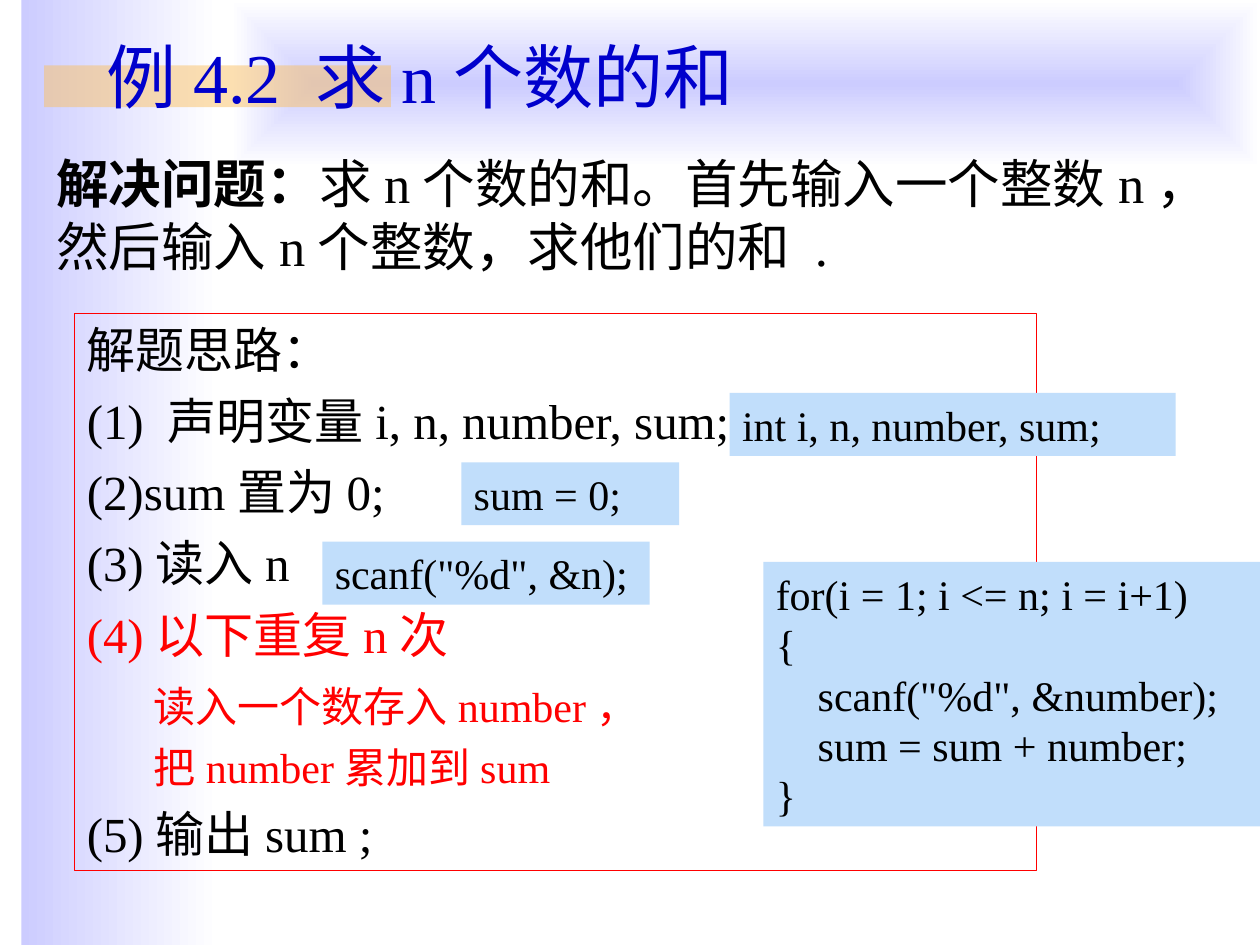
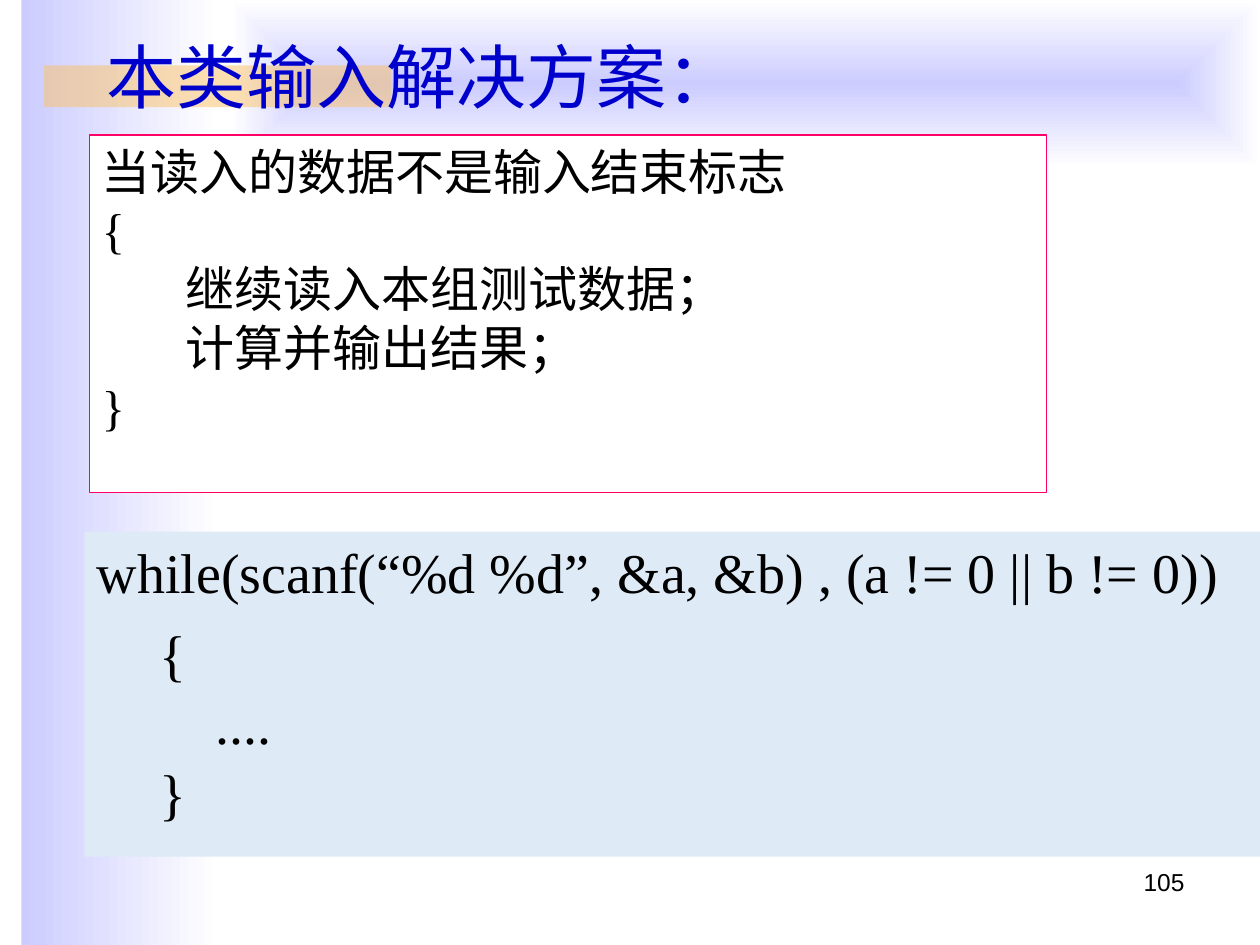
from pptx import Presentation
from pptx.dml.color import RGBColor
from pptx.enum.shapes import MSO_SHAPE
from pptx.enum.text import MSO_ANCHOR, PP_ALIGN
from pptx.oxml import parse_xml
from pptx.oxml.ns import nsdecls, qn
from pptx.util import Cm, Pt

RECT = MSO_SHAPE.RECTANGLE
TOP, MIDDLE = MSO_ANCHOR.TOP, MSO_ANCHOR.MIDDLE
LEFT, RIGHT = PP_ALIGN.LEFT, PP_ALIGN.RIGHT


class Theme:
    serif, sans = "Times New Roman", "Arial"
    black, white = "000000", "FFFFFF"
    title, lilac, amber = "0000CC", "CCCCFF", "FAC164"
    red, pink = "FF0000", "FF0066"
    chip, panel = "C1DEFB", "DEEAF6"
    title_size, code_size, intro_size = 40, 32, 30
    body_size, small_size, page_size = 28, 24, 14


def add_rect(slide, at, fill=None, line=None):
    s = slide.shapes.add_shape(RECT, *map(Cm, at))
    s.shadow.inherit = False
    if fill:
        s.fill.solid()
        s.fill.fore_color.rgb = RGBColor.from_string(fill)
    else:
        s.fill.background()
    if line:
        s.line.color.rgb = RGBColor.from_string(line)
        s.line.width = Pt(0.75)
    else:
        s.line.fill.background()
    return s


def write(s, paragraphs, size, color=Theme.black, font=Theme.serif,
          anchor=TOP, align=LEFT):
    """Each paragraph is a text or a dict: runs [(text, bold)], size, color, before, indent."""
    tf = s.text_frame
    tf.word_wrap = True
    tf.vertical_anchor = anchor
    for i, item in enumerate(paragraphs):
        if isinstance(item, str):
            item = {"runs": [(item, False)]}
        p = tf.paragraphs[0] if i == 0 else tf.add_paragraph()
        p.alignment = align
        p.space_before = Pt(item.get("before", 0))
        if "indent" in item:
            pPr = p._p.get_or_add_pPr()
            pPr.set("marL", str(Cm(item["indent"])))
            pPr.set("indent", "0")
        for text, bold in item["runs"]:
            r = p.add_run()
            r.text = text
            r.font.name = font
            r.font.size = Pt(item.get("size", size))
            r.font.bold = bold
            r.font.color.rgb = RGBColor.from_string(item.get("color", color))


prs = Presentation()
prs.slide_width, prs.slide_height = Cm(25.4), Cm(19.05)

# Shared bands and titles
slides = []
for title in ("例4.2 求n个数的和", "本类输入解决方案："):
    slide = prs.slides.add_slide(prs.slide_layouts[6])
    slides.append(slide)

    side_band = add_rect(slide, (0.43, 0, 4.01, 19.05))
    top_band = add_rect(slide, (4.65, 0, 20.75, 3.38))
    for s in (side_band, top_band):
        s.fill.gradient()
        s.fill.gradient_angle = 0
        for stop, color, position in zip(s.fill.gradient_stops,
                                         (Theme.lilac, Theme.white), (0, 1)):
            stop.color.rgb = RGBColor.from_string(color)
            stop.position = position
    # The top band fades from its centre to all four edges
    lin = top_band._element.spPr.find(qn("a:gradFill")).find(qn("a:lin"))
    lin.getparent().replace(lin, parse_xml(
        f'<a:path {nsdecls("a")} path="rect">'
        '<a:fillToRect l="50000" t="50000" r="50000" b="50000"/></a:path>'))

    accent = add_rect(slide, (0.89, 1.32, 6.99, 0.84), Theme.amber)
    for clr in accent._element.spPr.iter(qn("a:srgbClr")):
        clr.append(parse_xml(f'<a:alpha {nsdecls("a")} val="50000"/>'))

    s = slide.shapes.add_textbox(Cm(1.9), Cm(0.38), Cm(21.87), Cm(2.29))
    write(s, [title], Theme.title_size, Theme.title, anchor=MIDDLE)

sum_slide, input_slide = slides

# Problem statement
s = sum_slide.shapes.add_textbox(Cm(0.89), Cm(2.92), Cm(23.8), Cm(2.79))
write(s, [{"runs": [("解决问题：", True),
                    ("求n个数的和。首先输入一个整数n，然后输入n个整数，求他们的和 .", False)]}],
      Theme.intro_size)

# Solution steps: text, colour, size, space before, indent
steps = [
    ("解题思路：", Theme.black, Theme.body_size, 0, 0),
    ("(1) 声明变量i, n, number, sum;", Theme.black, Theme.body_size, 7, 0),
    ("(2)sum置为0;", Theme.black, Theme.body_size, 7, 0),
    ("(3)读入n", Theme.black, Theme.body_size, 7, 0),
    ("(4)以下重复n次", Theme.red, Theme.body_size, 7, 0),
    ("读入一个数存入number，", Theme.red, Theme.small_size, 10, 1.35),
    ("把number累加到sum", Theme.red, Theme.small_size, 6, 1.35),
    ("(5)输出sum ;", Theme.black, Theme.body_size, 7, 0),
]
s = add_rect(sum_slide, (1.5, 6.32, 19.4, 11.23), line=Theme.red)
write(s, [{"runs": [(text, False)], "color": color, "size": size,
           "before": before, "indent": indent}
          for text, color, size, before, indent in steps], Theme.body_size)

# Code beside the steps
snippets = [
    ((14.71, 7.92, 8.99, 1.27), ["int i, n, number, sum;"]),
    ((9.3, 9.32, 4.39, 1.27), ["sum = 0;"]),
    ((15.39, 11.33, 10.01, 5.33), [
        "for(i = 1; i <= n; i = i+1)",
        "{",
        '    scanf("%d", &number);',
        "    sum = sum + number;",
        "}"]),
    ((6.5, 10.92, 6.6, 1.27), ['scanf("%d", &n);']),
]
for at, code in snippets:
    write(add_rect(sum_slide, at, Theme.chip), code, Theme.small_size)

# Pseudocode for the input loop
s = add_rect(input_slide, (1.8, 2.72, 19.3, 7.21), Theme.white, Theme.pink)
write(s, ["当读入的数据不是输入结束标志",
          "{",
          {"runs": [("继续读入本组测试数据；", False)], "indent": 1.7},
          {"runs": [("计算并输出结果；", False)], "indent": 1.7},
          "}"], Theme.body_size)

# Code for the input loop
s = add_rect(input_slide, (1.7, 10.72, 23.7, 6.55), Theme.panel)
loop_body = [("{", 8), ("    ....", 1.5), ("}", 1.5)]
write(s, ["while(scanf(“%d %d”, &a, &b) , (a != 0 || b != 0))"]
      + [{"runs": [(text, False)], "before": before, "indent": 1.27}
         for text, before in loop_body], Theme.code_size)

# Page number
s = input_slide.shapes.add_textbox(Cm(18.21), Cm(17.35), Cm(5.92), Cm(1.32))
write(s, ["105"], Theme.page_size, font=Theme.sans, align=RIGHT)

prs.save("out.pptx")
